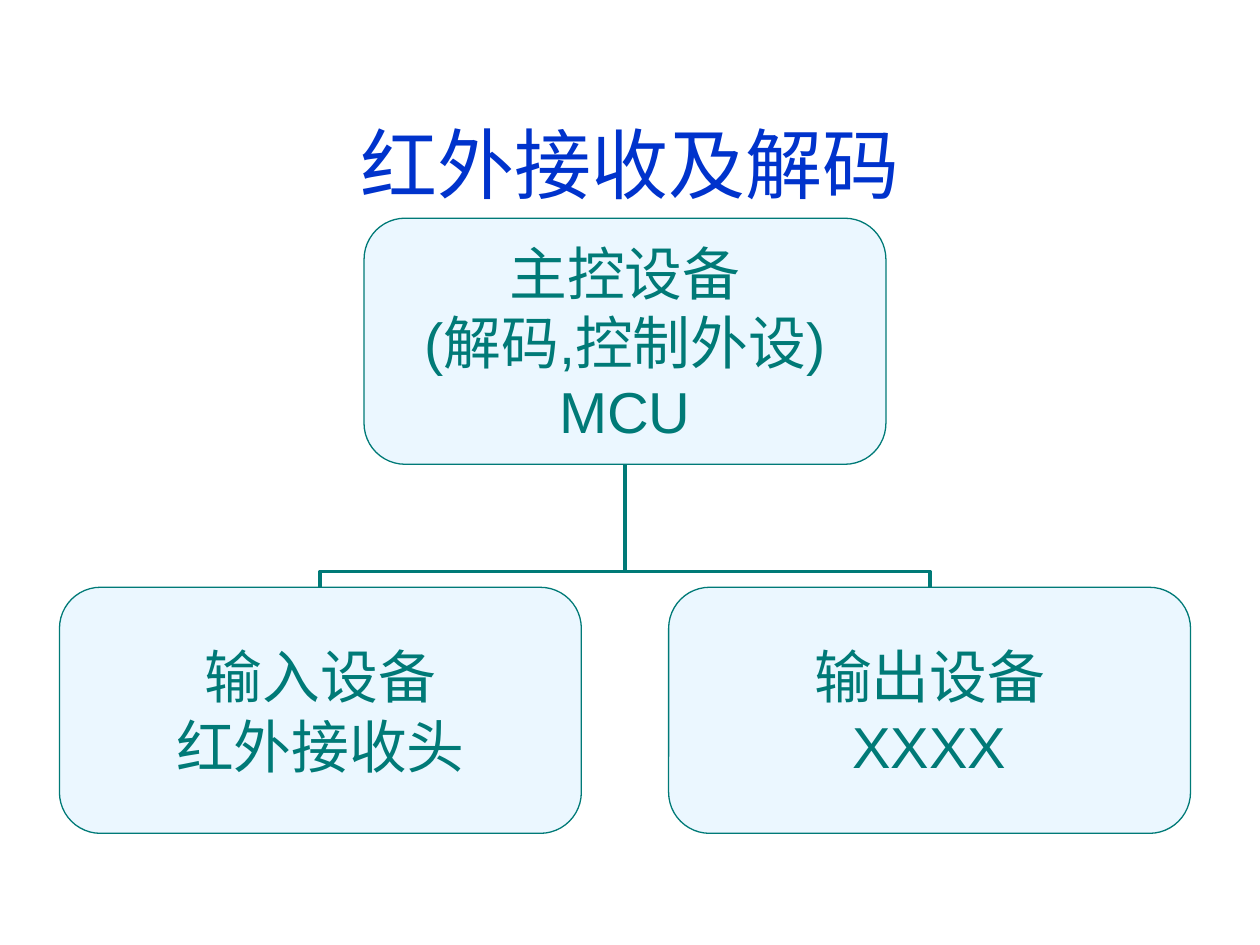
from lxml.etree import SubElement
from pptx import Presentation
from pptx.dml.color import RGBColor
from pptx.enum.shapes import MSO_CONNECTOR, MSO_SHAPE
from pptx.enum.text import MSO_ANCHOR, PP_ALIGN
from pptx.oxml.ns import qn
from pptx.util import Cm, Pt

BLUE = "0033CC"
TEAL = "007A77"
PALE_BLUE = "EBF7FF"
DEVICE_WIDTH = 10.52
DEVICE_HEIGHT = 4.96
ELBOW_SHARE = 0.128


def color(hex_string):
    """Return the colour for a hex string."""
    return RGBColor.from_string(hex_string)


def write_lines(text_frame, lines, size, text_color):
    """Fill a text frame with centred paragraphs."""
    text_frame.vertical_anchor = MSO_ANCHOR.MIDDLE
    text_frame.text = "\n".join(lines)
    for paragraph in text_frame.paragraphs:
        paragraph.alignment = PP_ALIGN.CENTER
        paragraph.font.name = "Arial"
        paragraph.font.size = Pt(size)
        paragraph.font.color.rgb = color(text_color)


def add_title(slide, left, top, width, height, title):
    """Place the slide title in the given box."""
    shape = slide.shapes.add_textbox(Cm(left), Cm(top), Cm(width), Cm(height))
    shape.text_frame.word_wrap = True
    write_lines(shape.text_frame, [title], 44, BLUE)


def add_device(slide, left, top, lines):
    """Place one rounded device box."""
    shape = slide.shapes.add_shape(
        MSO_SHAPE.ROUNDED_RECTANGLE, Cm(left), Cm(top), Cm(DEVICE_WIDTH), Cm(DEVICE_HEIGHT)
    )
    shape.shadow.inherit = False
    shape.fill.solid()
    shape.fill.fore_color.rgb = color(PALE_BLUE)
    shape.line.color.rgb = color(TEAL)
    shape.line.width = Pt(0.75)
    text_frame = shape.text_frame
    text_frame.margin_left = text_frame.margin_right = 0
    text_frame.margin_top = text_frame.margin_bottom = 0
    text_frame.word_wrap = False
    write_lines(text_frame, lines, 33, TEAL)


def add_branch(slide, child_x, child_y, parent_x, parent_y):
    """Draw an upright elbow from a child's top to its parent's bottom."""
    center_x, center_y = (child_x + parent_x) / 2, (child_y + parent_y) / 2
    half_span, half_drop = abs(child_x - parent_x) / 2, (child_y - parent_y) / 2
    side = 1 if child_x < parent_x else -1
    connector = slide.shapes.add_connector(
        MSO_CONNECTOR.ELBOW,
        Cm(center_x + side * half_drop),
        Cm(center_y + half_span),
        Cm(center_x - side * half_drop),
        Cm(center_y - half_span),
    )
    connector.line.color.rgb = color(TEAL)
    connector.line.width = Pt(2.25)
    properties = connector._element.spPr
    properties.find(qn("a:xfrm")).set("rot", str((side * 90 % 360) * 60000))
    geometry = properties.find(qn("a:prstGeom"))
    adjustments = geometry.find(qn("a:avLst"))
    if adjustments is None:
        adjustments = SubElement(geometry, qn("a:avLst"))
    guide = SubElement(adjustments, qn("a:gd"))
    guide.set("name", "adj1")
    guide.set("fmla", f"val {round(ELBOW_SHARE * 100000)}")
    SubElement(properties, qn("a:effectLst"))


def add_device_tree(slide, left, top, width, height, parent, children):
    """Place a parent device above its evenly spread children."""
    parent_x = left + width / 2
    child_top = top + height - DEVICE_HEIGHT
    step = (width - DEVICE_WIDTH) / (len(children) - 1)
    child_lefts = [left + index * step for index in range(len(children))]
    for child_left in reversed(child_lefts):
        add_branch(slide, child_left + DEVICE_WIDTH / 2, child_top, parent_x, top + DEVICE_HEIGHT)
    add_device(slide, parent_x - DEVICE_WIDTH / 2, top, parent)
    for child_left, lines in zip(child_lefts, children):
        add_device(slide, child_left, child_top, lines)


def main():
    """Build and save the presentation."""
    presentation = Presentation()
    presentation.slide_width = Cm(25.4)
    presentation.slide_height = Cm(19.05)
    slide = presentation.slides.add_slide(presentation.slide_layouts[6])
    add_title(slide, 0.84, 1.7, 23.72, 3.18, "红外接收及解码")
    add_device_tree(
        slide, 1.2, 4.4, 22.8, 12.4,
        ["主控设备", "(解码,控制外设)", "MCU"],
        [["输入设备", "红外接收头"], ["输出设备", "XXXX"]],
    )
    presentation.save("out.pptx")


if __name__ == "__main__":
    main()
